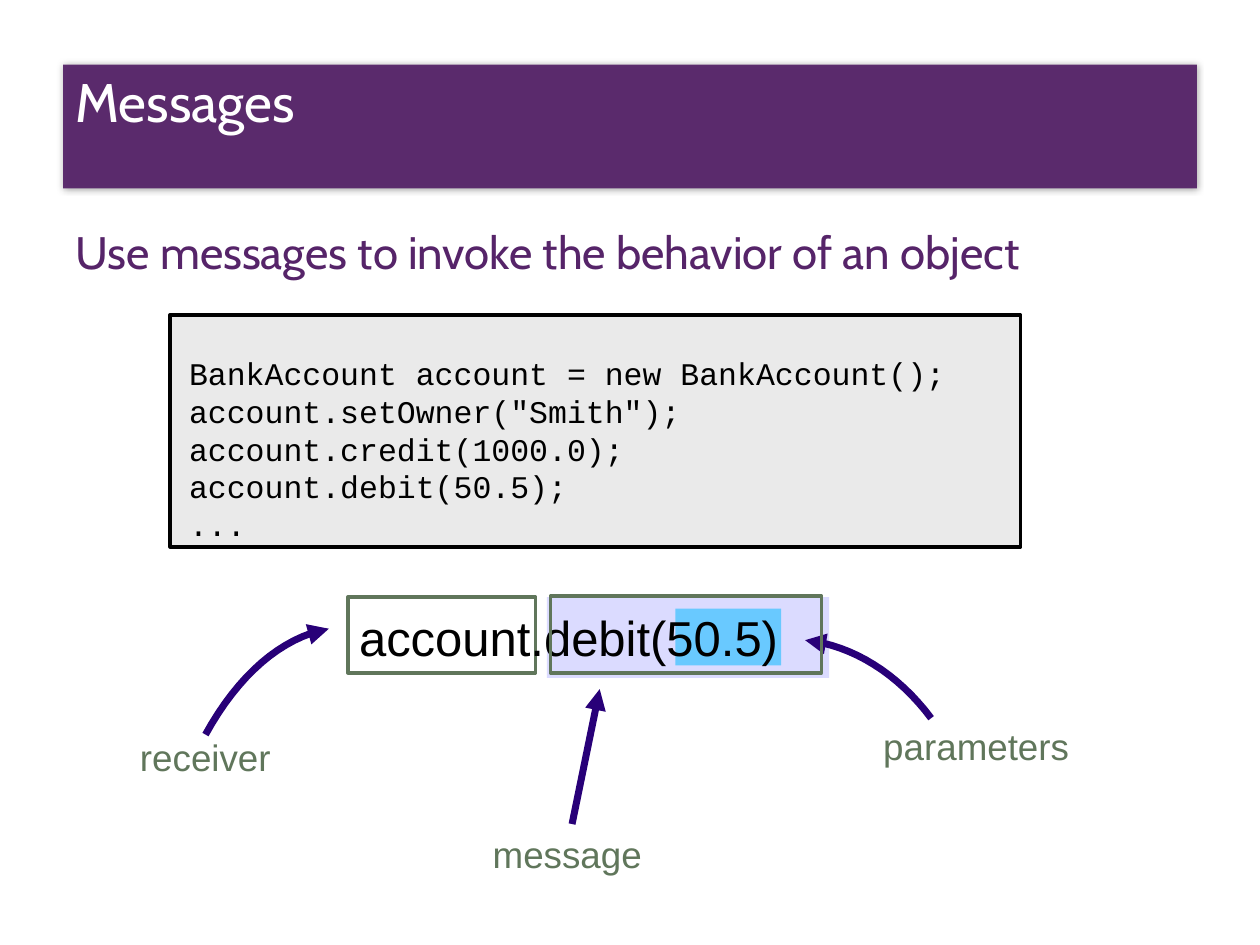
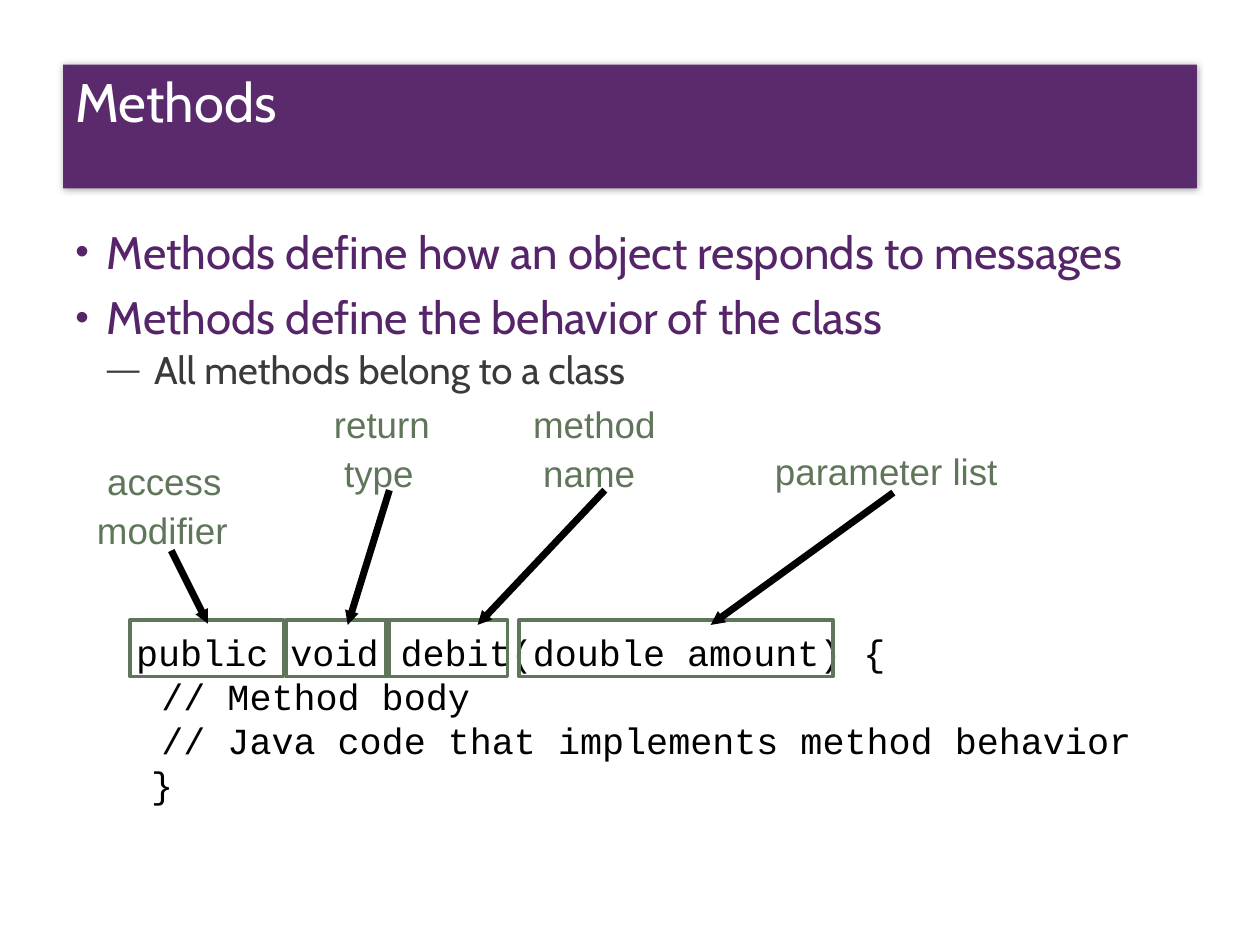
from lxml import etree
from pptx import Presentation
from pptx.dml.color import RGBColor
from pptx.enum.shapes import MSO_CONNECTOR, MSO_SHAPE
from pptx.enum.text import MSO_ANCHOR, MSO_AUTO_SIZE, PP_ALIGN
from pptx.oxml.ns import qn
from pptx.util import Pt

RECTANGLE = MSO_SHAPE.RECTANGLE
STRAIGHT = MSO_CONNECTOR.STRAIGHT
TOP, MIDDLE = MSO_ANCHOR.TOP, MSO_ANCHOR.MIDDLE
FIT_SHAPE, NO_FIT = MSO_AUTO_SIZE.SHAPE_TO_FIT_TEXT, MSO_AUTO_SIZE.NONE
LEFT = PP_ALIGN.LEFT

PURPLE = RGBColor(0x56, 0x24, 0x69)
INDIGO = RGBColor(0x28, 0x00, 0x78)
GREEN = RGBColor(0x60, 0x76, 0x5B)
LAVENDER = RGBColor(0xDB, 0xDB, 0xFF)
SKY = RGBColor(0x69, 0xC9, 0xFF)
PALE_GREY = RGBColor(0xEA, 0xEA, 0xEA)
DARK_GREY = RGBColor(0x3A, 0x3A, 0x3A)
BLACK = RGBColor(0, 0, 0)
WHITE = RGBColor(255, 255, 255)

TITLE = {"name": "Cabin", "size": Pt(31), "color": WHITE}
BODY = {"name": "Cabin", "size": Pt(26), "color": PURPLE}
SUBPOINT = {"name": "Cabin", "size": Pt(22), "color": DARK_GREY}
LABEL = {"name": "Arial", "size": Pt(21), "color": GREEN}
CALL = {"name": "Arial", "size": Pt(28), "color": BLACK}
LISTING = {"name": "Courier New", "size": Pt(18), "color": BLACK}
SIGNATURE = {"name": "Courier New", "size": Pt(21), "color": BLACK}

TITLE_BOX = (36, 37, 648, 70.6)
BODY_BOX = (36, 123.8, 648, 397.4)
TITLE_ONLY = 5
SPACE_WIDTH = 5.84
CURVE_STEPS = 16


def points(*values):
    return [Pt(value) for value in values]


def format_font(font, style):
    for name, value in style.items():
        if name == "color":
            font.color.rgb = value
        else:
            setattr(font, name, value)


def set_frame(frame, insets=(0, 0, 0, 0), **settings):
    sides = ("left", "top", "right", "bottom")
    for side, inset in zip(sides, insets):
        setattr(frame, f"margin_{side}", Pt(inset))
    for name, value in settings.items():
        setattr(frame, name, value)


def write_lines(frame, lines, style, spacing=1.0, after=0):
    """Write (text, left indent) pairs, one paragraph each."""
    for index, (text, indent) in enumerate(lines):
        paragraph = frame.add_paragraph() if index else frame.paragraphs[0]
        paragraph.text = text
        paragraph._p.get_or_add_pPr().set("marL", str(Pt(indent)))
        paragraph.alignment = LEFT
        paragraph.line_spacing = spacing
        paragraph.space_after = Pt(after)
        format_font(paragraph.runs[0].font, style)


def add_text(slide, box, lines, style, after=0):
    """Text that stays unwrapped and is centred vertically in its box."""
    frame = slide.shapes.add_textbox(*points(*box)).text_frame
    set_frame(frame, word_wrap=False, auto_size=FIT_SHAPE,
              vertical_anchor=MIDDLE)
    write_lines(frame, lines, style, after=after)


def add_box(slide, box, fill=None, line=None):
    shape = slide.shapes.add_shape(RECTANGLE, *points(*box))
    shape.shadow.inherit = False
    if fill is None:
        shape.fill.background()
    else:
        shape.fill.solid()
        shape.fill.fore_color.rgb = fill
    if line is None:
        shape.line.fill.background()
    else:
        shape.line.color.rgb = line
        shape.line.width = Pt(2)
    return shape


def style_arrow(shape, color, head_size):
    shape.line.color.rgb = color
    shape.line.width = Pt(4)
    line = shape.line._get_or_add_ln()
    etree.SubElement(line, qn("a:tailEnd"), type="triangle",
                     w=head_size, len=head_size)


def add_arrow(slide, start, tip, color, head_size="med"):
    arrow = slide.shapes.add_connector(STRAIGHT, *points(*start, *tip))
    style_arrow(arrow, color, head_size)
    etree.SubElement(arrow._element.spPr, qn("a:effectLst"))


def add_curved_arrow(slide, controls, color):
    """Arrow along the cubic curve through four control points."""
    vertices = []
    for step in range(CURVE_STEPS + 1):
        t = step / CURVE_STEPS
        weights = ((1 - t) ** 3, 3 * t * (1 - t) ** 2,
                   3 * t ** 2 * (1 - t), t ** 3)
        vertices.append(points(*(
            sum(weight * value for weight, value in zip(weights, axis))
            for axis in zip(*controls))))
    builder = slide.shapes.build_freeform(*vertices[0])
    builder.add_line_segments(vertices[1:], close=False)
    curve = builder.convert_to_shape()
    curve.shadow.inherit = False
    curve.fill.background()
    style_arrow(curve, color, "med")


def add_title(slide, text, box=TITLE_BOX):
    title = slide.shapes.title
    title.left, title.top, title.width, title.height = points(*box)
    title.fill.solid()
    title.fill.fore_color.rgb = PURPLE
    fill_color = title._element.spPr.find(".//" + qn("a:srgbClr"))
    etree.SubElement(fill_color, qn("a:alpha"), val="95000")
    title.line.fill.background()
    title.shadow.inherit = False
    effects = title._element.spPr.find(qn("a:effectLst"))
    shadow = etree.SubElement(effects, qn("a:outerShdw"),
                              blurRad=str(Pt(4)), dist="0",
                              dir="5400000", rotWithShape="0")
    shade = etree.SubElement(shadow, qn("a:srgbClr"), val=str(BLACK))
    etree.SubElement(shade, qn("a:alpha"), val="35000")
    set_frame(title.text_frame, (7.2, 0, 7.2, 3.6), word_wrap=True,
              auto_size=NO_FIT, vertical_anchor=TOP)
    write_lines(title.text_frame, [(text, 0)], TITLE, spacing=1.05)


def add_body(slide, items, box=BODY_BOX):
    """Write (text, style, bullet, left indent, hanging, space before)."""
    frame = slide.shapes.add_textbox(*points(*box)).text_frame
    set_frame(frame, (7.2, 4.4, 7.2, 3.6), word_wrap=True,
              vertical_anchor=TOP)
    write_lines(frame, [(item[0], item[3]) for item in items], BODY)
    for paragraph, item in zip(frame.paragraphs, items):
        _, style, bullet, _, hanging, before = item
        properties = paragraph._p.get_or_add_pPr()
        properties.set("indent", str(Pt(-hanging)))
        paragraph.space_before = Pt(before)
        if bullet:
            etree.SubElement(properties, qn("a:buSzPct"), val="85000")
            etree.SubElement(properties, qn("a:buFont"), typeface="Arial")
            etree.SubElement(properties, qn("a:buChar"), char=bullet)
        format_font(paragraph.runs[0].font, style)


def add_listing(slide, box, lines):
    shape = add_box(slide, box, PALE_GREY, BLACK)
    set_frame(shape.text_frame, (10.8, 22.3, 0, 0), word_wrap=True,
              vertical_anchor=TOP)
    write_lines(shape.text_frame, [(line, 0) for line in lines], LISTING)


def add_call_diagram(slide, left, top):
    """Message call with its receiver, message and parameters marked."""
    def at(x, y, *size):
        return (left + x, top + y, *size)

    add_box(slide, at(118.7, 1.3, 107.3, 43.2), line=GREEN)
    add_box(slide, at(232.5, 1.3, 161.3, 46.1), fill=LAVENDER)
    add_box(slide, at(305.9, 7.8, 60.5, 32.4), fill=SKY)
    add_text(slide, at(125.2, 7, 242.6, 33.8),
             [("account.debit(50.5)", 0)], CALL)
    labels = (("receiver", 0, 79.8, 75.6), ("message", 201.5, 135.2, 85.7),
              ("parameters", 424.7, 73.3, 107.3))
    for text, x, y, width in labels:
        add_text(slide, at(x, y, width, 25.2), [(text, 0)], LABEL)
    curves = (((37.4, 79.8), (56.1, 45.9), (80.6, 24.3), (107.9, 19.3)),
              ((452.1, 70.4), (433.4, 45.2), (407.4, 28.6), (380.1, 25.8)))
    for controls in curves:
        add_curved_arrow(slide, [at(*point) for point in controls], INDIGO)
    add_arrow(slide, at(246.9, 130.9), at(262.7, 53.8), INDIGO)
    add_box(slide, at(234.6, 0.6, 154.8, 43.9), line=GREEN)


def add_signature_diagram(slide, left, top):
    """Method declaration with each part of its signature labelled."""
    def at(x, y, *size):
        return (left + x, top + y, *size)

    code = [("public void debit(double amount) {", 0),
            ("// Method body", 14.4),
            ("// Java code that implements method behavior", 14.4),
            ("}", 8.5)]
    add_text(slide, at(22.8, 134.3, 575.3, 101.5), code, SIGNATURE)
    labels = (
        ((382, 31.3, 139.7, 25.2), [("parameter list", SPACE_WIDTH)]),
        ((135.8, 4, 61.2, 54.7), [("return", 0), ("type", SPACE_WIDTH)]),
        ((0.4, 36.4, 81.4, 54.7), [("access", SPACE_WIDTH), ("modifier", 0)]),
        ((249.6, 4, 76.3, 54.7), [("method", 0), ("name", SPACE_WIDTH)]),
    )
    for box, lines in labels:
        add_text(slide, at(*box), lines, LABEL, after=3)
    outlines = ((19.2, 87.8), (108.4, 59), (165.3, 69.8), (241.6, 179.3))
    for x, width in outlines:
        add_box(slide, at(x, 129.2, width, 32.4), line=GREEN)
    arrows = (((42.9, 89.6), (63.8, 131.4)), ((167.5, 55.1), (143.7, 132.1)),
              ((455.5, 56.5), (351.1, 132.1)), ((290.6, 55.1), (217.9, 132.1)))
    for start, tip in arrows:
        add_arrow(slide, at(*start), at(*tip), BLACK, "sm")


def add_slide(presentation, title):
    slide = presentation.slides.add_slide(
        presentation.slide_layouts[TITLE_ONLY])
    add_title(slide, title)
    return slide


def build_messages(presentation):
    slide = add_slide(presentation, "Messages")
    add_listing(slide, (97.2, 180, 486, 132.5), [
        "BankAccount account = new BankAccount();",
        'account.setOwner("Smith");',
        "account.credit(1000.0);",
        "account.debit(50.5);",
        "...",
    ])
    add_call_diagram(slide, 80, 340)
    add_body(slide, [("Use messages to invoke the behavior of an object",
                      BODY, None, 18, 18, 0)])


def build_methods(presentation):
    slide = add_slide(presentation, "Methods")
    add_signature_diagram(slide, 55, 225)
    add_body(slide, [
        ("Methods define how an object responds to messages",
         BODY, "•", 18, 18, 0),
        ("Methods define the behavior of the class", BODY, "•", 18, 18, 6),
        ("All methods belong to a class", SUBPOINT, "—", 45, 27, 1),
    ])


def main():
    presentation = Presentation()
    presentation.slide_width, presentation.slide_height = points(720, 540)
    build_messages(presentation)
    build_methods(presentation)
    presentation.save("out.pptx")


if __name__ == "__main__":
    main()
